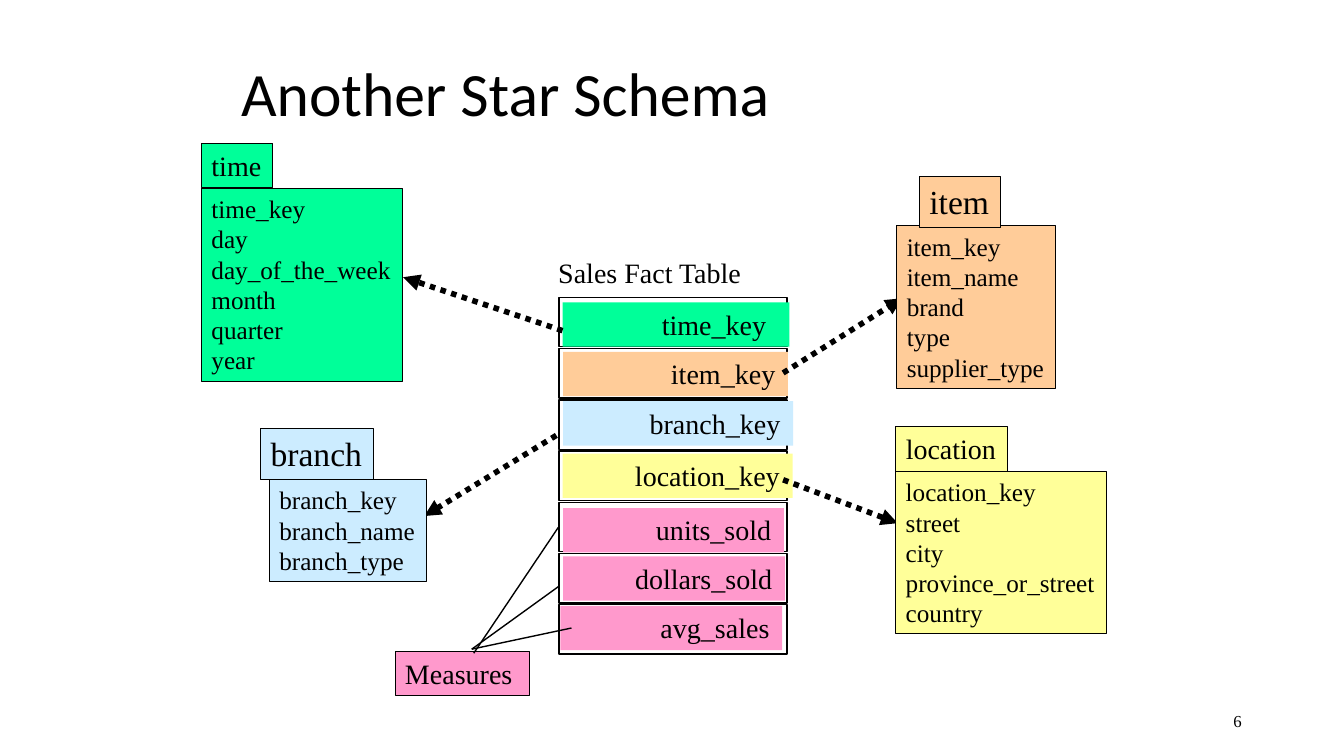
from lxml.etree import SubElement
from pptx import Presentation
from pptx.dml.color import RGBColor
from pptx.enum.dml import MSO_LINE
from pptx.enum.shapes import MSO_CONNECTOR, MSO_SHAPE
from pptx.enum.text import MSO_ANCHOR, MSO_AUTO_SIZE, PP_ALIGN
from pptx.oxml.ns import qn
from pptx.util import Pt

COLORS = {
    "black": "000000",
    "time": "00FF99",
    "item": "FFCC99",
    "branch": "CCECFF",
    "location": "FFFF99",
    "measure": "FF99CC",
}
SERIF = "Times New Roman"


def color(name):
    return RGBColor.from_string(COLORS[name])


def add_box(shapes, text, at, fill=None, line=None, size=20,
            align=PP_ALIGN.LEFT, anchor=MSO_ANCHOR.TOP, right=0):
    """Add a rectangle with one paragraph per line of text."""
    box = shapes.add_shape(MSO_SHAPE.RECTANGLE, *[Pt(v) for v in at])
    box.shadow.inherit = False
    if fill:
        box.fill.solid()
        box.fill.fore_color.rgb = color(fill)
    else:
        box.fill.background()
    if line:
        box.line.color.rgb = color("black")
        box.line.width = Pt(line)
    else:
        box.line.fill.background()
    frame = box.text_frame
    frame.word_wrap = True
    frame.vertical_anchor = anchor
    frame.margin_left, frame.margin_right = Pt(7.2), Pt(right)
    frame.margin_top = frame.margin_bottom = Pt(3.6)
    frame.text = text
    for paragraph in frame.paragraphs:
        paragraph.alignment = align
        paragraph.font.name = SERIF
        paragraph.font.size = Pt(size)
        paragraph.font.color.rgb = color("black")
    return box


prs = Presentation()
prs.slide_width, prs.slide_height = Pt(960), Pt(540)
slide = prs.slides.add_slide(prs.slide_layouts[5])
shapes = slide.shapes

# Title
title = shapes.title
title.left, title.top, title.width, title.height = Pt(165), Pt(36), Pt(601), Pt(65.5)
title.text_frame.text = "Another Star Schema"
title.text_frame.auto_size = MSO_AUTO_SIZE.NONE
title.text_frame.vertical_anchor = MSO_ANCHOR.MIDDLE
heading = title.text_frame.paragraphs[0]
heading.alignment = PP_ALIGN.LEFT
heading.line_spacing = 0.9
heading.font.name = "Calibri"
heading.font.size = Pt(44)
heading.font.color.rgb = color("black")

# Fact table: an outlined row with a coloured key in each
add_box(shapes, "Sales Fact Table", (391.7, 179.3, 146.2, 31.7))
ROW_TOP, ROW_STEP = 212.4, 36.6
fact_rows = [  # key, colour, left, top, width, right inset
    ("time_key", "time", 401.9, 216, 162, 16.6),
    ("item_key", "item", 402.3, 251.3, 160.6, 9),
    ("branch_key", "branch", 402.3, 286.6, 164.2, 9),
    ("location_key", "location", 401.9, 324, 164.2, 9),
    ("units_sold", "measure", 402.3, 362.9, 157.7, 9),
    ("dollars_sold", "measure", 402.3, 397.4, 158.4, 9),
    ("avg_sales", "measure", 400.3, 432.7, 158.4, 9),
]
for row, (key, fill, left, top, width, inset) in enumerate(fact_rows):
    add_box(shapes, "", (399.4, ROW_TOP + row * ROW_STEP, 162.7, 35.3), line=1)
    add_box(shapes, key, (left, top, width, 31.7), fill=fill,
            align=PP_ALIGN.RIGHT, right=inset)

# Measures label
add_box(shapes, "Measures", (282.2, 465.1, 96, 31.7), fill="measure", line=0.75)

# Plain lines to the measures, dotted arrows to the dimensions
links = [  # start x, start y, end x, end y, is arrow
    (338.4, 466.6, 398.9, 376.6, False),
    (337, 463.7, 398.9, 419, False),
    (337, 463.7, 408.2, 448.6, False),
    (397.4, 311, 303.1, 368.6, True),
    (401.8, 236.2, 288, 198, True),
    (559.4, 342.7, 641.2, 373.7, True),
    (559.4, 266.4, 644.4, 213.1, True),
]
for *ends, is_arrow in links:
    link = shapes.add_connector(MSO_CONNECTOR.STRAIGHT, *[Pt(v) for v in ends])
    link.line.color.rgb = color("black")
    link.line.width = Pt(4 if is_arrow else 1)
    if is_arrow:
        link.line.dash_style = MSO_LINE.ROUND_DOT
        SubElement(link.line._get_or_add_ln(), qn("a:tailEnd"), type="triangle")
    SubElement(link._element.spPr, qn("a:effectLst"))

# Dimension tables, each grouped with its name tag
dimensions = [  # name, tag size, tag position, columns, table position
    ("time", 20, (144, 102.2, 50.9, 31.9),
     ["time_key", "day", "day_of_the_week", "month", "quarter", "year"],
     (144, 134.6, 143.5, 137.8)),
    ("location", 20, (639.9, 304.6, 79.9, 31.9),
     ["location_key", "street", "city", "province_or_street", "country"],
     (639.9, 337, 150.7, 115.6)),
    ("item", 24, (656.8, 126, 57.8, 36.6),
     ["item_key", "item_name", "brand", "type", "supplier_type"],
     (640.6, 161.4, 113.3, 116)),
    ("branch", 24, (186.2, 306, 80.6, 36.5),
     ["branch_key", "branch_name", "branch_type"],
     (192.5, 342.6, 112.2, 72.6)),
]
for name, tag_size, tag_at, columns, table_at in dimensions:
    dimension = shapes.add_group_shape().shapes
    add_box(dimension, "\n".join(columns), table_at, fill=name, line=0.75, size=18)
    add_box(dimension, name, tag_at, fill=name, line=0.75, size=tag_size)

# Slide number
add_box(shapes, "6", (678.2, 500.4, 216, 28.8), size=12, align=PP_ALIGN.RIGHT,
        anchor=MSO_ANCHOR.MIDDLE, right=7.2)

prs.save("out.pptx")
